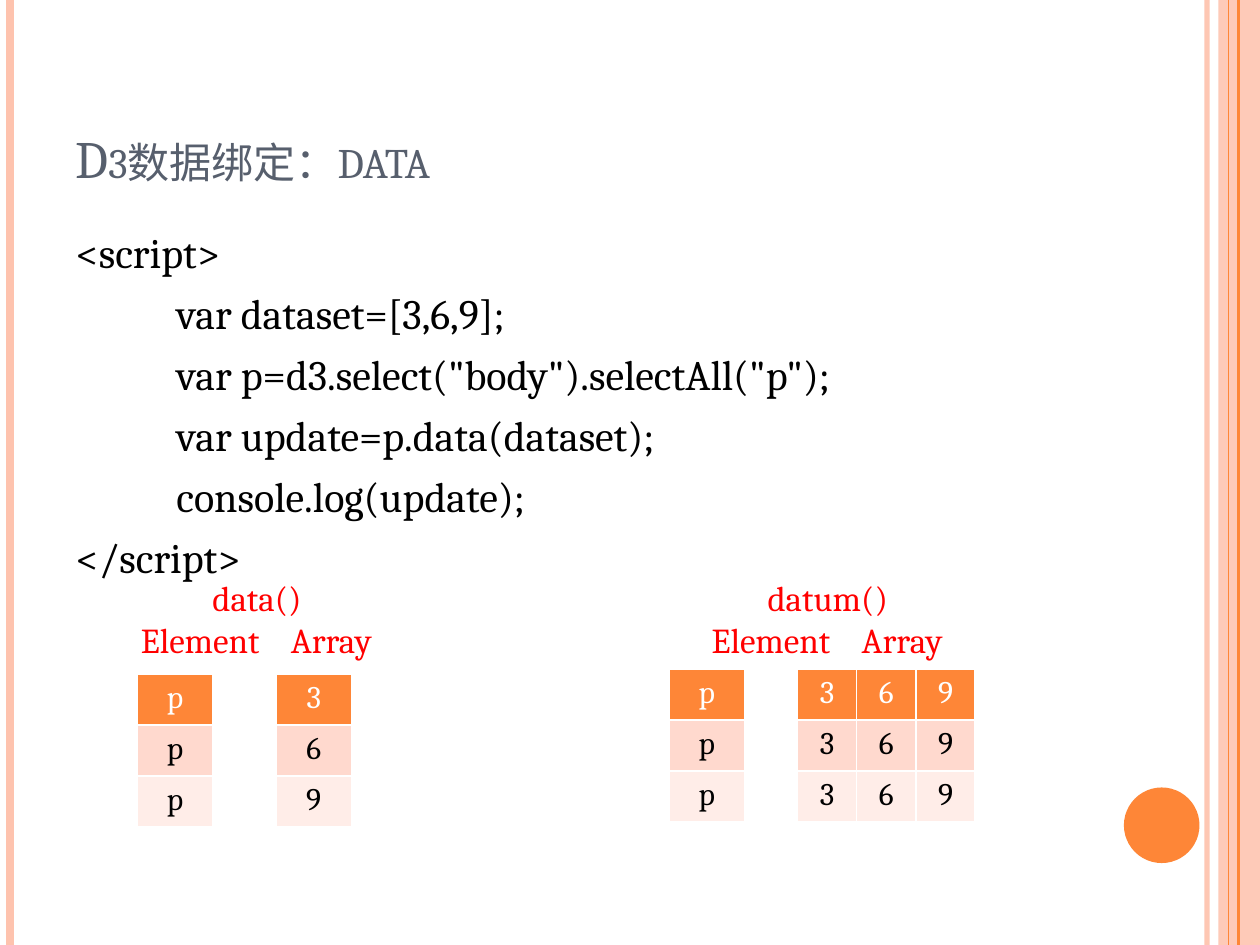
from lxml import etree
from pptx import Presentation
from pptx.dml.color import RGBColor
from pptx.enum.shapes import MSO_CONNECTOR, MSO_SHAPE
from pptx.enum.text import MSO_ANCHOR, PP_ALIGN
from pptx.oxml.ns import qn
from pptx.util import Inches, Pt

STRAIGHT = MSO_CONNECTOR.STRAIGHT
RECTANGLE, OVAL = MSO_SHAPE.RECTANGLE, MSO_SHAPE.OVAL
LEFT, CENTER = PP_ALIGN.LEFT, PP_ALIGN.CENTER
TOP, BOTTOM = MSO_ANCHOR.TOP, MSO_ANCHOR.BOTTOM

ORANGE = RGBColor(0xFE, 0x86, 0x37)
PEACH = RGBColor(0xFE, 0xC3, 0xAE)
BAND_DARK = RGBColor(0xFF, 0xD9, 0xCE)
BAND_LIGHT = RGBColor(0xFF, 0xED, 0xE8)
SLATE = RGBColor(0x57, 0x5F, 0x6D)
RED = RGBColor(0xFF, 0x00, 0x00)
BLACK = RGBColor(0x00, 0x00, 0x00)
WHITE = RGBColor(0xFF, 0xFF, 0xFF)
FONT = "Cambria"


def format_text(paragraph, size, color, **formats):
    font = paragraph.font
    font.name, font.size, font.bold = FONT, Pt(size), False
    font.color.rgb = color
    for name, value in formats.items():
        setattr(paragraph, name, value)


def set_alpha(element, percent):
    color = element.find(".//" + qn("a:srgbClr"))
    etree.SubElement(color, qn("a:alpha"), val=str(percent * 1000))


presentation = Presentation()
presentation.slide_width = Inches(10)
presentation.slide_height = Inches(7.5)
slide = presentation.slides.add_slide(presentation.slide_layouts[1])
shapes = slide.shapes

band = (RECTANGLE, 9.67, 0, 0.33, 7.5, PEACH, 87)
circle = (OVAL, 8.92, 6.25, 0.6, 0.6, ORANGE, 100)
for kind, left, top, width, height, color, alpha in (band, circle):
    shape = shapes.add_shape(kind, Inches(left), Inches(top), Inches(width), Inches(height))
    shape.shadow.inherit = False
    shape.fill.solid()
    shape.fill.fore_color.rgb = color
    shape.line.fill.background()
    if alpha < 100:
        set_alpha(shape.fill._xPr, alpha)

for x, color, weight, alpha in (
    (9.58, PEACH, 3, 93),
    (0.08, PEACH, 4.5, 100),
    (9.83, ORANGE, 1.5, 100),
    (9.75, ORANGE, 0.75, 100),
):
    stripe = shapes.add_connector(STRAIGHT, Inches(x), 0, Inches(x), Inches(7.5))
    stripe.line.color.rgb = color
    stripe.line.width = Pt(weight)
    if alpha < 100:
        set_alpha(stripe.line._ln, alpha)
    etree.SubElement(stripe._element.spPr, qn("a:effectLst"))

title, body = shapes.title, slide.placeholders[1]
for placeholder, top, height, anchor in ((title, 0.3, 1.25, BOTTOM), (body, 1.75, 5.33, TOP)):
    placeholder.left, placeholder.top = Inches(0.5), Inches(top)
    placeholder.width, placeholder.height = Inches(8.17), Inches(height)
    placeholder.text_frame.vertical_anchor = anchor

title.text_frame.text = "D3数据绑定：data"
title_paragraph = title.text_frame.paragraphs[0]
format_text(title_paragraph, 30, SLATE, alignment=LEFT)
title_run = title_paragraph.runs[0]
title_run.font.size = Pt(30)
title_run.font._element.set("cap", "small")

body.text_frame.text = """<script>
\t\tvar dataset=[3,6,9];
\t\tvar p=d3.select("body").selectAll("p");
\t\tvar update=p.data(dataset);
\t\tconsole.log(update);
</script>"""
for paragraph in body.text_frame.paragraphs:
    format_text(paragraph, 24, BLACK, alignment=LEFT, space_before=Pt(6))
    properties = paragraph._p.get_or_add_pPr()
    properties.set("marL", str(Inches(0.3)))
    properties.set("indent", str(-Inches(0.3)))
    properties.insert_element_before(
        etree.Element(qn("a:buNone")), "a:tabLst", "a:defRPr", "a:extLst"
    )

row_styles = ((ORANGE, WHITE), (BAND_DARK, BLACK), (BAND_LIGHT, BLACK))
for left, top, column_width, rows in (
    (1.09, 5.35, 0.6, ("p", "p", "p")),
    (2.19, 5.35, 0.6, ("3", "6", "9")),
    (5.31, 5.31, 0.6, ("p", "p", "p")),
    (6.33, 5.31, 0.47, ("369", "369", "369")),
):
    column_count = len(rows[0])
    table = shapes.add_table(
        len(rows), column_count, Inches(left), Inches(top),
        Inches(column_width * column_count), Inches(0.405 * len(rows)),
    ).table
    for row_index, (values, (fill, color)) in enumerate(zip(rows, row_styles)):
        for column_index, value in enumerate(values):
            cell = table.cell(row_index, column_index)
            cell.text = value
            cell.fill.solid()
            cell.fill.fore_color.rgb = fill
            paragraph = cell.text_frame.paragraphs[0]
            format_text(paragraph, 18, color, alignment=CENTER)
            font = paragraph.runs[0].font
            font.name, font.size, font.bold = FONT, Pt(18), False
            font.color.rgb = color

for left, method in ((1.02, "data()"), (5.55, "datum()")):
    label = shapes.add_textbox(Inches(left), Inches(4.53), Inches(2.04), Inches(0.77))
    label.text_frame.word_wrap = True
    label.text_frame.text = method + "\nElement\tArray"
    heading, columns = label.text_frame.paragraphs
    format_text(heading, 20, RED, alignment=CENTER)
    format_text(columns, 20, RED, alignment=LEFT)
    tab_list = etree.Element(qn("a:tabLst"))
    etree.SubElement(tab_list, qn("a:tab"), pos=str(Inches(1.19)), algn="l")
    columns._p.get_or_add_pPr().insert_element_before(tab_list, "a:defRPr", "a:extLst")

presentation.save("out.pptx")
